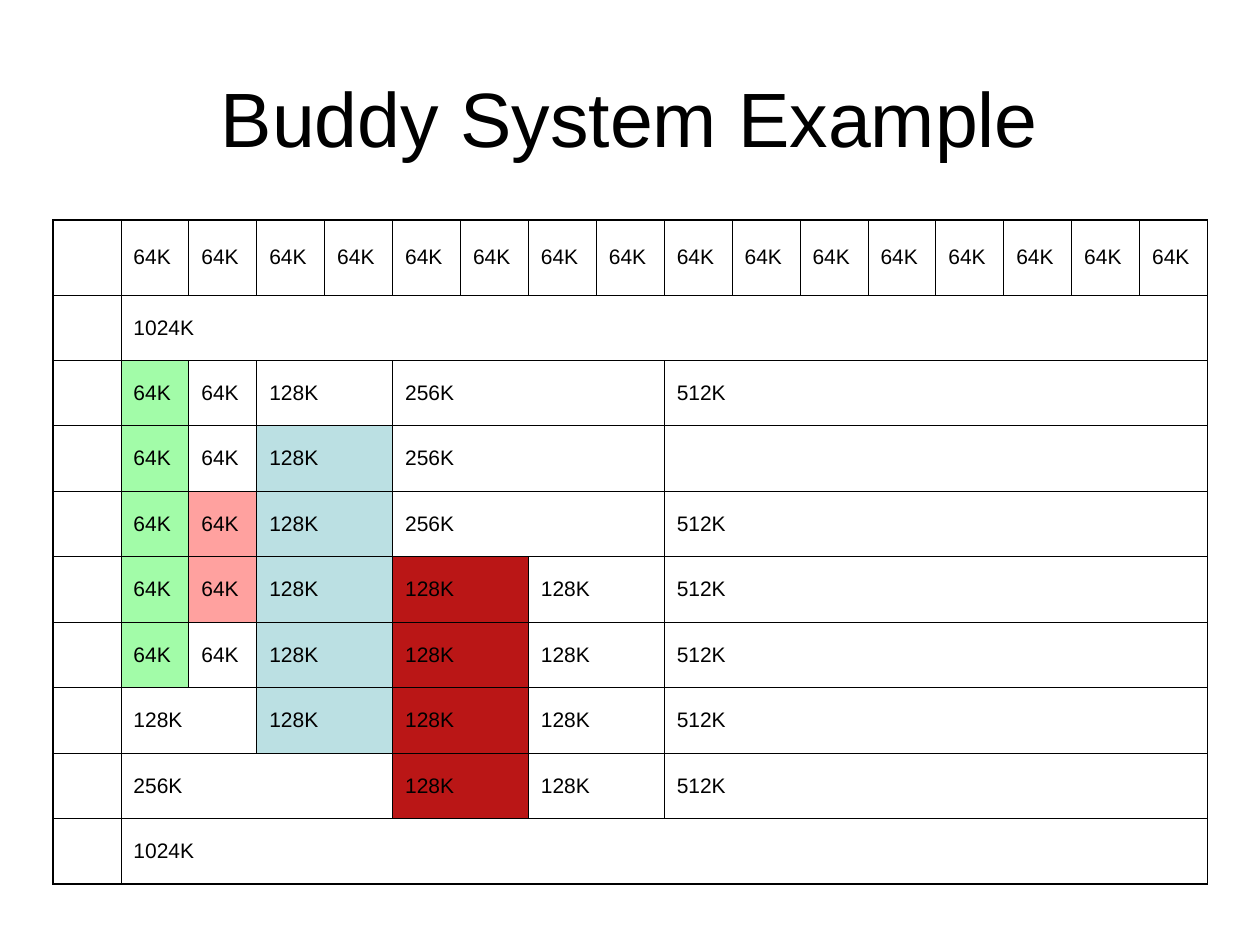
import pptx
import pptx.dml.color
import pptx.enum.text
import pptx.oxml.ns
import pptx.util
from lxml import etree

PX = 914400 // 126
FONT = "Arial"
BLACK, GREEN, PINK, BLUE, RED = "000000", "A2FCA8", "FFA19F", "BBE0E3", "BA1616"
NO_STYLE = "{2D5ABB26-0587-4C30-8999-92F81FD0307C}"
OUTER, INNER = 1.08, 0.45
UNIT = 64  # kilobytes held by one column

# Each row lists its blocks from left to right: size in kilobytes, fill, label shown
FREE_512 = (512, None, True)
FREE_256 = (256, None, True)
FREE_128 = (128, None, True)
FREE_64 = (64, None, True)
WHOLE = (1024, None, True)
GREEN_64 = (64, GREEN, True)
PINK_64 = (64, PINK, True)
BLUE_128 = (128, BLUE, True)
RED_128 = (128, RED, True)
MEMORY_ROWS = [
    [FREE_64] * 16,
    [WHOLE],
    [GREEN_64, FREE_64, FREE_128, FREE_256, FREE_512],
    [GREEN_64, FREE_64, BLUE_128, FREE_256, (512, None, False)],
    [GREEN_64, PINK_64, BLUE_128, FREE_256, FREE_512],
    [GREEN_64, PINK_64, BLUE_128, RED_128, FREE_128, FREE_512],
    [GREEN_64, FREE_64, BLUE_128, RED_128, FREE_128, FREE_512],
    [FREE_128, BLUE_128, RED_128, FREE_128, FREE_512],
    [FREE_256, RED_128, FREE_128, FREE_512],
    [WHOLE],
]


def px(length):
    return pptx.util.Emu(length * PX)


def colour(value):
    return pptx.dml.color.RGBColor.from_string(value)


def format_text(para, size):
    for span in para.runs:
        span.font.name = FONT
        span.font.size = pptx.util.Pt(size)
        span.font.color.rgb = colour(BLACK)


def add_title(page, left, top, width, height):
    box = page.shapes.add_textbox(px(left), px(top), px(width), px(height))
    frame = box.text_frame
    frame.word_wrap = True
    frame.vertical_anchor = pptx.enum.text.MSO_ANCHOR.MIDDLE
    para = frame.paragraphs[0]
    para.text = "Buddy System Example"
    para.alignment = pptx.enum.text.PP_ALIGN.CENTER
    format_text(para, 44)


def set_borders(cell, widths):
    """Draw the sides named in widths, which are in points, in schema order."""
    properties = cell._tc.get_or_add_tcPr()
    for side in "LRTB":
        if side not in widths:
            continue
        line = etree.SubElement(properties, pptx.oxml.ns.qn(f"a:ln{side}"))
        line.set("w", str(pptx.util.Pt(widths[side])))
        fill = etree.SubElement(line, pptx.oxml.ns.qn("a:solidFill"))
        etree.SubElement(fill, pptx.oxml.ns.qn("a:srgbClr")).set("val", BLACK)


def fill_block(table, row, first, count, text, fill):
    """Make one block of count columns, starting at column first."""
    last = first + count - 1
    last_row, last_column = len(table.rows) - 1, len(table.columns) - 1
    widths = {
        "L": OUTER if first == 0 else INNER,
        "R": OUTER if last == last_column else INNER,
        "T": OUTER if row == 0 else INNER,
        "B": OUTER if row == last_row else INNER,
    }
    cell = table.cell(row, first)
    if count > 1:
        cell.merge(table.cell(row, last))
    set_borders(cell, widths)
    for column in range(first + 1, last + 1):
        sides = "RTB" if column == last else "TB"
        set_borders(table.cell(row, column), {side: widths[side] for side in sides})

    if fill:
        cell.fill.solid()
        cell.fill.fore_color.rgb = colour(fill)
    else:
        cell.fill.background()
    cell.vertical_anchor = pptx.enum.text.MSO_ANCHOR.MIDDLE
    para = cell.text_frame.paragraphs[0]
    para.text = text
    format_text(para, 12)


def add_memory_table(page, left, top, width, height):
    row_count, column_count = len(MEMORY_ROWS), 1 + 1024 // UNIT
    frame = page.shapes.add_table(
        row_count, column_count, px(left), px(top), px(width), px(height))
    table = frame.table
    table.first_row = table.horz_banding = False
    table._tbl.tblPr.find(pptx.oxml.ns.qn("a:tableStyleId")).text = NO_STYLE

    header_height = 75
    for column in table.columns:
        column.width = px(width) // column_count
    for row in table.rows:
        row.height = px(height - header_height) // (row_count - 1)
    table.rows[0].height = px(header_height)

    for row, blocks in enumerate(MEMORY_ROWS):
        fill_block(table, row, 0, 1, "", None)
        column = 1
        for size, fill, labelled in blocks:
            count = size // UNIT
            fill_block(table, row, column, count, f"{size}K" if labelled else "", fill)
            column += count


def main():
    deck = pptx.Presentation()
    deck.slide_width, deck.slide_height = px(1260), px(945)
    page = deck.slides.add_slide(deck.slide_layouts[6])
    add_title(page, 63, 38, 1134, 158)
    add_memory_table(page, 53, 220, 1155, 664)
    deck.save("out.pptx")


if __name__ == "__main__":
    main()
